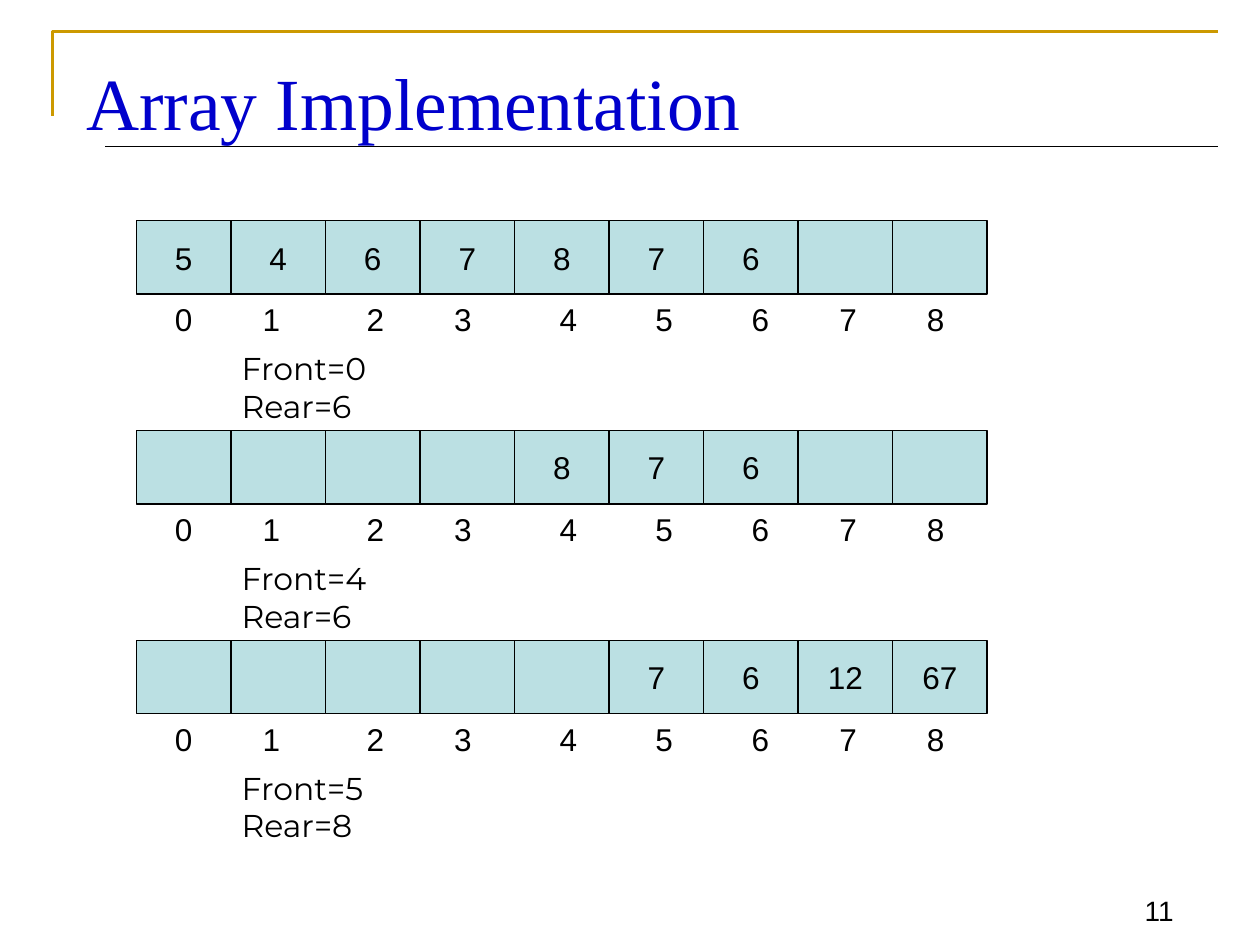
from pptx import Presentation
from pptx.dml.color import RGBColor
from pptx.enum import shapes as es, text as et
from pptx.oxml.ns import qn
from pptx.util import Cm, Pt
from lxml import etree

HUES = {"gold": "CC9900", "black": "000000", "title": "0000CC", "cell": "BBE0E3"}
LEFT, TOP, WIDE, HIGH = 2.75, 4.45, 17.15, 1.48
PITCH = 4.23
STOPS = [0.7, 2.47, 4.57, 6.33, 8.46, 10.39, 12.33, 14.1, 15.86]
QUEUES = [
    (["5", "4", "6", "7", "8", "7", "6", "", ""], 0, 6),
    (["", "", "", "", "8", "7", "6", "", ""], 4, 6),
    (["", "", "", "", "", "7", "6", "12", "67"], 5, 8),
]


def hue(name):
    return RGBColor.from_string(HUES[name])


def style(frame, size, face="Arial", color="black", align=et.PP_ALIGN.LEFT):
    for para in frame.paragraphs:
        para.alignment = align
        para.font.size = Pt(size)
        para.font.name = face
        para.font.color.rgb = hue(color)


def stroke(shape, color, width):
    shape.line.color.rgb = hue(color)
    shape.line.width = Pt(width)


def add_text(parent, words, box, size, **looks):
    frame = parent.add_textbox(*map(Cm, box)).text_frame
    frame.word_wrap = True
    frame.text = words
    style(frame, size, **looks)
    return frame


def add_cell(parent, words, x, y, width):
    cell = parent.add_shape(es.MSO_SHAPE.RECTANGLE, Cm(x), Cm(y), Cm(width), Cm(HIGH))
    cell.shadow.inherit = False
    cell.fill.solid()
    cell.fill.fore_color.rgb = hue("cell")
    stroke(cell, "black", 0.75)
    if words:
        frame = cell.text_frame
        frame.text = words
        frame.word_wrap = False
        frame.vertical_anchor = et.MSO_ANCHOR.MIDDLE
        style(frame, 18, align=et.PP_ALIGN.CENTER)


def add_marks(parent, y):
    # Indices sit on centred tab stops
    words = "".join(f"\t{i}" for i in range(len(STOPS)))
    frame = add_text(parent, words, (LEFT, y, WIDE, 1.02), 18)
    props = frame.paragraphs[0]._p.get_or_add_pPr()
    tabs = etree.Element(qn("a:tabLst"))
    for stop in STOPS:
        etree.SubElement(tabs, qn("a:tab"), pos=str(Cm(stop)), algn="ctr")
    props.insert(0, tabs)


def add_queue(slide, y, items, front, rear):
    parent = slide.shapes.add_group_shape().shapes
    width = WIDE / len(items)
    for i, item in enumerate(items):
        add_cell(parent, item, LEFT + i * width, y, width)
    add_marks(parent, y + HIGH)
    add_text(parent, f"Front={front}\nRear={rear}", (4.62, y + 2.46, 3.63, 1.78),
             18, face="Montserrat")


def add_frame(slide):
    # Gold corner and thin rule
    build = slide.shapes.build_freeform(Cm(1.06), Cm(2.33))
    build.add_line_segments([(Cm(1.06), Cm(0.64)), (Cm(24.55), Cm(0.64))], close=False)
    corner = build.convert_to_shape()
    corner.shadow.inherit = False
    corner.fill.background()
    stroke(corner, "gold", 1.5)
    rule = slide.shapes.add_connector(es.MSO_CONNECTOR.STRAIGHT, Cm(2.12), Cm(2.96),
                                      Cm(24.55), Cm(2.96))
    stroke(rule, "black", 0.75)
    etree.SubElement(rule._element.spPr, qn("a:effectLst"))


def set_title(slide, words):
    title = slide.shapes.title
    title.left, title.top, title.width, title.height = map(Cm, (1.48, 0.85, 23.07, 1.9))
    frame = title.text_frame
    frame.text = words
    frame.auto_size = et.MSO_AUTO_SIZE.NONE
    frame.vertical_anchor = et.MSO_ANCHOR.TOP
    frame.margin_top, frame.margin_bottom = Cm(0.29), 0
    style(frame, 42, face="Times New Roman", color="title")


def main():
    deck = Presentation()
    deck.slide_width, deck.slide_height = Cm(25.4), Cm(19.05)
    slide = deck.slides.add_slide(deck.slide_layouts[5])
    add_frame(slide)
    set_title(slide, "Array Implementation")
    for i, (items, front, rear) in enumerate(QUEUES):
        add_queue(slide, TOP + i * PITCH, items, front, rear)
    # Page number
    page = add_text(slide.shapes, "11", (22.23, 17.57, 1.68, 1.24), 16,
                    align=et.PP_ALIGN.RIGHT)
    page.vertical_anchor = et.MSO_ANCHOR.BOTTOM
    deck.save("out.pptx")


main()
